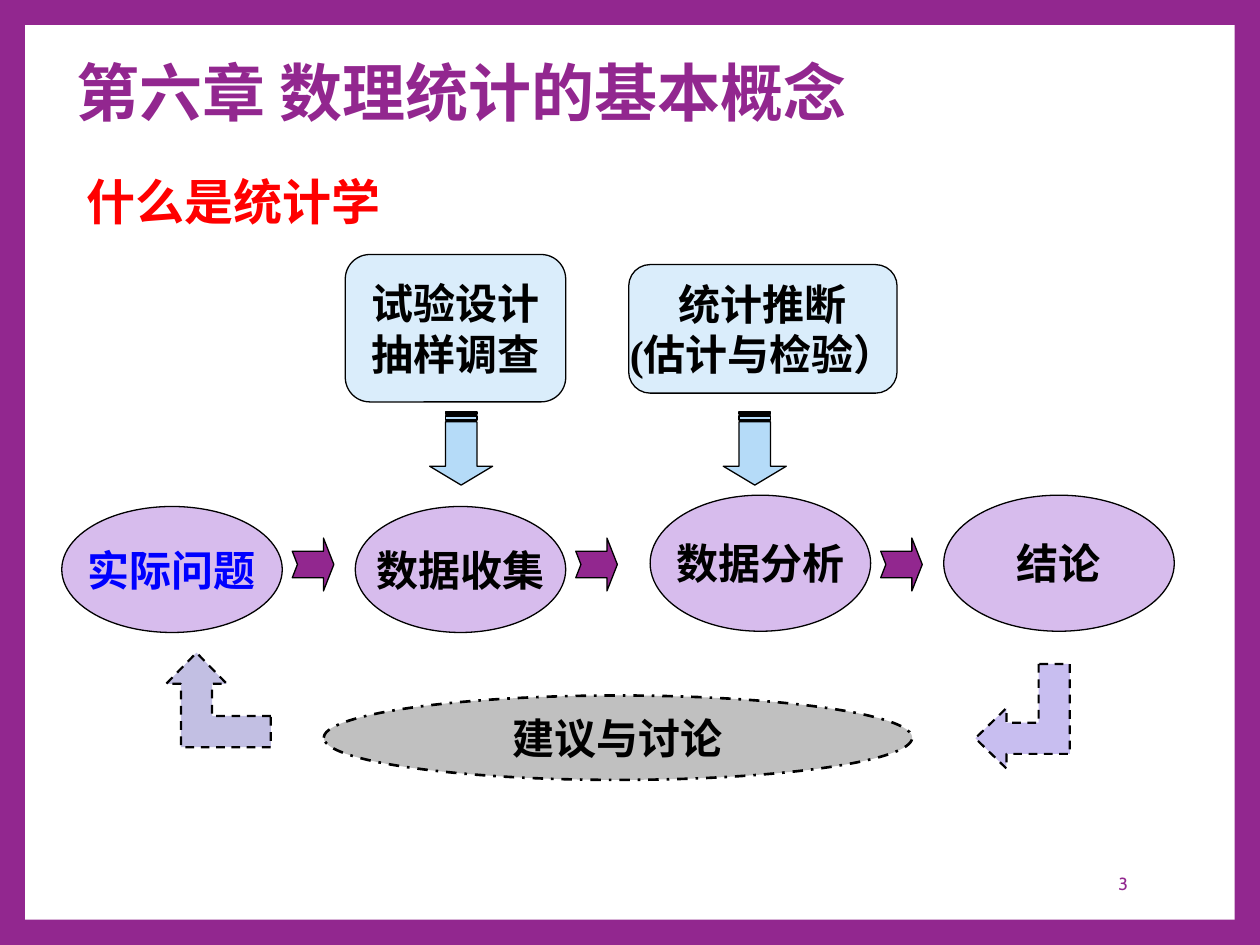
import pptx
import pptx.util
import pptx.dml.color
import pptx.enum.dml
import pptx.enum.shapes
import pptx.enum.text

Inches = pptx.util.Inches
Pt = pptx.util.Pt
Shape = pptx.enum.shapes.MSO_SHAPE
Align = pptx.enum.text.PP_ALIGN
Anchor = pptx.enum.text.MSO_ANCHOR
Dash = pptx.enum.dml.MSO_LINE

COLORS = {
    "purple": "92278F",
    "white": "FFFFFF",
    "black": "000000",
    "red": "FF0000",
    "blue": "0000FF",
    "lilac": "D7BCED",
    "ice": "DAEDFB",
    "sky": "B5DBF8",
    "silver": "C0C0C0",
    "lavender": "C8BEF0",
    "haze": "C2BFE3",
}


def color(name):
    return pptx.dml.color.RGBColor.from_string(COLORS[name])


class FlowPage:
    heading_font = "Cabin"
    body_font = "Times New Roman"

    def __init__(self, deck):
        self.page = deck.slides.add_slide(deck.slide_layouts[6])
        self.page.background.fill.solid()
        self.page.background.fill.fore_color.rgb = color("purple")

    def fill_text(self, box, lines, size, ink, font=body_font, bold=True,
                  align=Align.CENTER, anchor=Anchor.MIDDLE, wrap=False, spacing=None):
        frame = box.text_frame
        frame.word_wrap = wrap
        frame.vertical_anchor = anchor
        for index, line in enumerate(lines):
            para = frame.add_paragraph() if index else frame.paragraphs[0]
            para.alignment = align
            para.line_spacing = spacing
            span = para.add_run()
            span.text = line
            span.font.name = font
            span.font.size = Pt(size)
            span.font.bold = bold
            span.font.color.rgb = color(ink)

    def text(self, at, line, size, ink, **style):
        box = self.page.shapes.add_textbox(*map(Inches, at))
        self.fill_text(box, [line], size, ink, **style)

    def shape(self, kind, at, fill, line_width=0.75, dash=None):
        shape = self.page.shapes.add_shape(kind, *map(Inches, at))
        shape.shadow.inherit = False
        shape.fill.solid()
        shape.fill.fore_color.rgb = color(fill)
        if line_width:
            shape.line.color.rgb = color("black")
            shape.line.width = Pt(line_width)
            shape.line.dash_style = dash
        else:
            shape.line.fill.background()
        return shape

    def node(self, kind, at, fill, lines, ink="black", **outline):
        self.fill_text(self.shape(kind, at, fill, **outline), lines, 24, ink)

    def step_arrow(self, left):
        arrow = self.shape(Shape.NOTCHED_RIGHT_ARROW, (left, 4.27, 0.33, 0.42), "purple")
        arrow.adjustments[0] = 0.5
        arrow.adjustments[1] = 0.25

    def down_arrow(self, left):
        arrow = self.shape(Shape.STRIPED_RIGHT_ARROW, (left, 3.31, 0.58, 0.5), "sky")
        arrow.adjustments[0] = 0.5
        arrow.adjustments[1] = 0.3
        arrow.rotation = 90

    def return_arrow(self, left, top, fill, rotation):
        arrow = self.shape(Shape.BENT_UP_ARROW, (left, top, 0.83, 0.75), fill, 1.25, Dash.DASH)
        for index, value in enumerate((0.33, 0.32, 0.33)):
            arrow.adjustments[index] = value
        arrow.element.spPr.get_or_add_xfrm().set("flipH", "1")
        arrow.rotation = rotation


def main():
    deck = pptx.Presentation()
    deck.slide_width = Inches(10)
    deck.slide_height = Inches(7.5)
    flow = FlowPage(deck)

    flow.shape(Shape.RECTANGLE, (0.2, 0.2, 9.6, 7.1), "white", line_width=0)
    flow.text((0.51, 0.44, 8.27, 0.64), "第六章 数理统计的基本概念", 36, "purple",
              font=flow.heading_font, align=Align.LEFT, wrap=True, spacing=0.9)
    flow.text((7.65, 6.81, 1.4, 0.4), "3", 10, "purple",
              font=flow.heading_font, bold=False, align=Align.RIGHT, wrap=True)
    flow.text((0.59, 1.31, 2.56, 0.57), "什么是统计学", 28, "red",
              align=Align.LEFT, anchor=Anchor.TOP)

    steps = [
        ("实际问题", (0.49, 4.02, 1.75, 1), "blue"),
        ("数据收集", (2.82, 4.02, 1.67, 1), "black"),
        ("数据分析", (5.16, 3.93, 1.75, 1.08), "black"),
        ("结论", (7.49, 3.93, 1.83, 1.08), "black"),
    ]
    for label, at, ink in steps:
        flow.node(Shape.OVAL, at, "lilac", [label], ink)
    for left in (2.32, 4.57, 6.99):
        flow.step_arrow(left)

    methods = [
        (["试验设计", "抽样调查"], (2.74, 2.02, 1.75, 1.17), 3.37),
        (["统计推断", "(估计与检验）"], (4.99, 2.1, 2.13, 1.02), 5.7),
    ]
    for lines, at, arrow_left in methods:
        flow.node(Shape.ROUNDED_RECTANGLE, at, "ice", lines)
        flow.down_arrow(arrow_left)

    flow.return_arrow(7.7, 5.31, "lavender", 270)
    flow.node(Shape.OVAL, (2.57, 5.52, 4.67, 0.67), "silver", ["建议与讨论"],
              line_width=1.5, dash=Dash.DASH_DOT)
    flow.return_arrow(1.32, 5.18, "haze", 0)

    deck.save("out.pptx")


if __name__ == "__main__":
    main()
